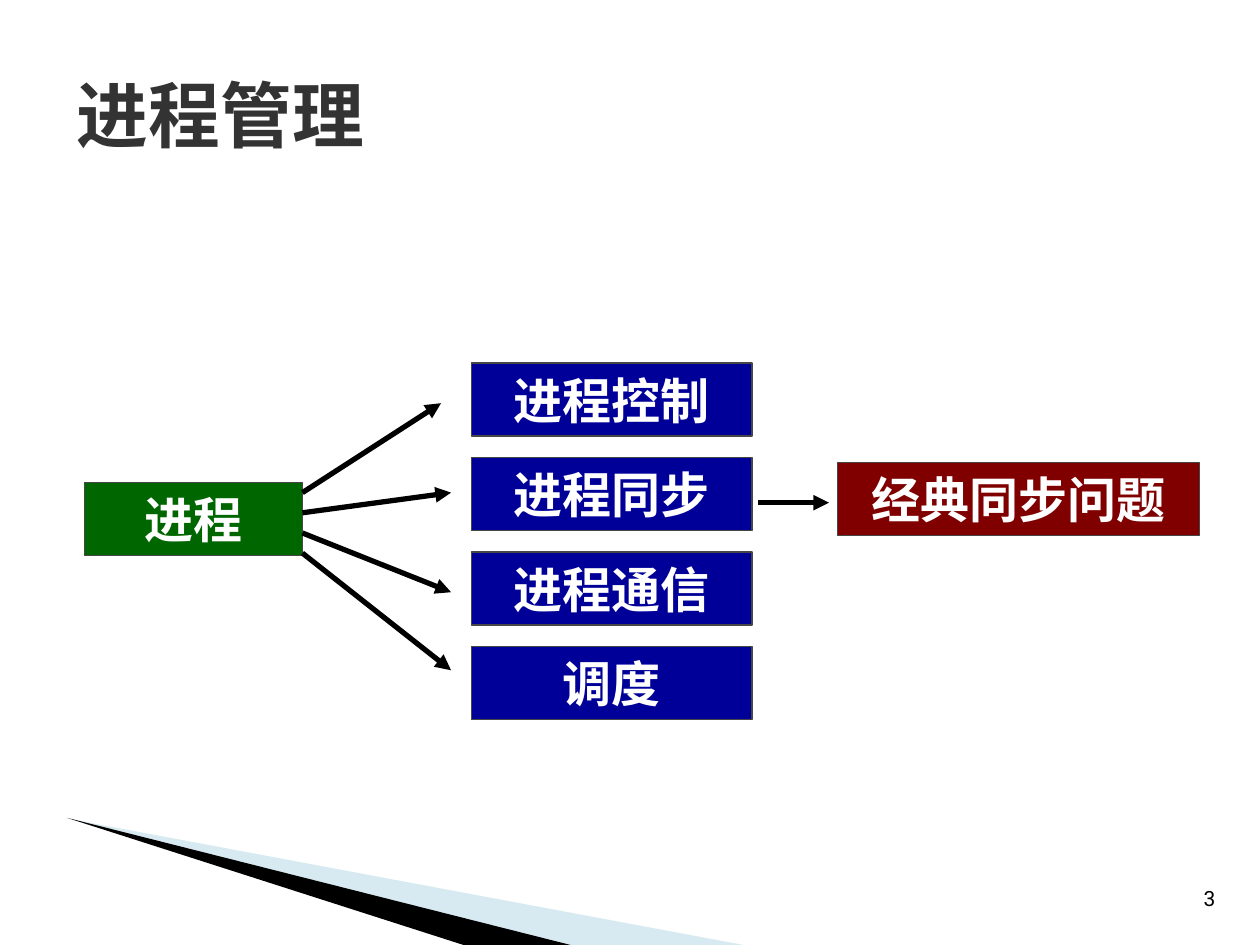
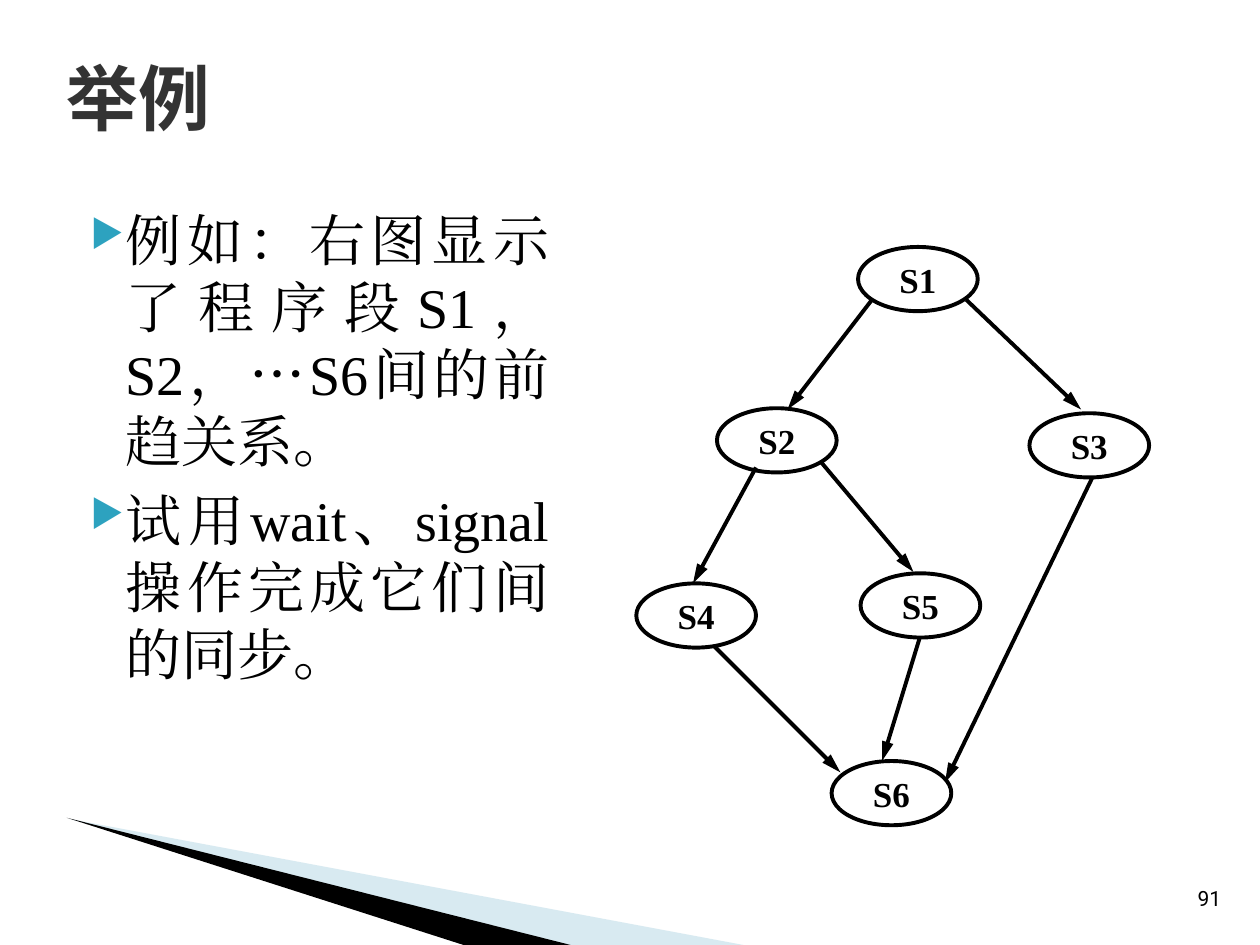
from typing import NamedTuple

from lxml import etree
from pptx import Presentation
from pptx.dml.color import RGBColor
from pptx.enum.shapes import MSO_CONNECTOR, MSO_SHAPE
from pptx.enum.text import MSO_ANCHOR, MSO_AUTO_SIZE, PP_ALIGN
from pptx.oxml.ns import qn
from pptx.util import Emu, Pt

EMU_PER_PX = 9144  # 100 px to the inch
TITLE_ONLY = 5

STRAIGHT = MSO_CONNECTOR.STRAIGHT
RECTANGLE, OVAL = MSO_SHAPE.RECTANGLE, MSO_SHAPE.OVAL
MIDDLE = MSO_ANCHOR.MIDDLE
LEFT, CENTER, JUSTIFY = PP_ALIGN.LEFT, PP_ALIGN.CENTER, PP_ALIGN.JUSTIFY

BLACK = RGBColor(0x00, 0x00, 0x00)
WHITE = RGBColor(0xFF, 0xFF, 0xFF)
TITLE_GREY = RGBColor(0x33, 0x33, 0x33)
BORDER_GREY = RGBColor(0x46, 0x46, 0x46)
PALE_BLUE = RGBColor(0x9F, 0xCB, 0xDC)
NAVY = RGBColor(0x00, 0x00, 0x99)
MAROON = RGBColor(0x80, 0x00, 0x00)
GREEN = RGBColor(0x00, 0x66, 0x00)
BULLET_TEAL = "2DA2BF"

SANS, SERIF = "Noto Sans CJK SC", "Times New Roman"
BOX_FONT, NUMBER_FONT = "Cabin", "Roboto"


class Frame(NamedTuple):
    left: int
    top: int
    width: int
    height: int


class TextStyle(NamedTuple):
    font: str
    size: int
    color: RGBColor
    bold: bool = False
    align: PP_ALIGN = CENTER


class Node(NamedTuple):
    label: str
    frame: Frame
    fill: RGBColor


class NodeStyle(NamedTuple):
    preset: MSO_SHAPE
    text: TextStyle
    border: RGBColor
    border_width: float


class Arrow(NamedTuple):
    x1: int
    y1: int
    x2: int
    y2: int


class Band(NamedTuple):
    points: list[tuple[int, int]]
    color: RGBColor
    opacity: int


TITLE_TEXT = TextStyle(SANS, 41, TITLE_GREY, True, LEFT)
NUMBER_TEXT = TextStyle(NUMBER_FONT, 12, BLACK)
BODY_TEXT = TextStyle(SERIF, 32, BLACK, align=JUSTIFY)
TOPIC = NodeStyle(RECTANGLE, TextStyle(BOX_FONT, 28, WHITE, True), BORDER_GREY, 0.75)
SEGMENT = NodeStyle(OVAL, TextStyle(SERIF, 20, BLACK, True), BLACK, 2.25)

BANDS = [
    Band([(55, 650), (590, 750), (452, 750)], PALE_BLUE, 40),
    Band([(53, 649), (453, 750), (368, 750)], BLACK, 100),
]

TOPICS = ["进程控制", "进程同步", "进程通信", "调度"]
TOPIC_ARROW_ENDS = [(350, 320), (358, 391), (358, 470), (358, 532)]

SEGMENT_PLACES = {
    "S1": (681, 196),
    "S2": (569, 324),
    "S3": (817, 328),
    "S4": (505, 463),
    "S5": (683, 455),
    "S6": (660, 604),
}
PRECEDENCE_ARROWS = [
    Arrow(692, 238, 625, 325),
    Arrow(767, 238, 858, 325),
    Arrow(600, 371, 550, 463),
    Arrow(651, 366, 725, 454),
    Arrow(567, 513, 667, 613),
    Arrow(730, 506, 700, 604),
    Arrow(867, 379, 750, 621),
]
BODY_PARAGRAPHS = [
    [("例如：右图显示了程序段S1，S2，", SERIF), ("…", SANS), ("S6间的前趋关系。", SERIF)],
    [("试用wait、signal操作完成它们间的同步。", SERIF)],
]


def px(length: int) -> Emu:
    return Emu(length * EMU_PER_PX)


def emu_frame(frame: Frame) -> list[Emu]:
    return [px(length) for length in frame]


def set_typeface(font, name: str) -> None:
    """Use one typeface for both Latin and East Asian text."""
    font.name = name
    etree.SubElement(font._element, qn("a:ea"), typeface=name)


def style_paragraph(para, style: TextStyle) -> None:
    para.alignment = style.align
    font = para.font
    font.size, font.bold = Pt(style.size), style.bold
    font.color.rgb = style.color
    set_typeface(font, style.font)


def fill_text(shape, text: str, style: TextStyle, wrap: bool = False) -> None:
    box = shape.text_frame
    box.text = text
    box.auto_size = MSO_AUTO_SIZE.NONE
    box.word_wrap = wrap
    box.vertical_anchor = MIDDLE
    style_paragraph(box.paragraphs[0], style)


def add_band(page, band: Band) -> None:
    builder = page.shapes.build_freeform(*band.points[0], scale=EMU_PER_PX)
    builder.add_line_segments(band.points[1:], close=True)
    shape = builder.convert_to_shape()
    shape.shadow.inherit = False
    shape.line.fill.background()
    shape.fill.solid()
    shape.fill.fore_color.rgb = band.color
    if band.opacity < 100:
        color = shape._element.spPr.find(qn("a:solidFill"))[0]
        etree.SubElement(color, qn("a:alpha"), val=str(band.opacity * 1000))


def add_page(deck, title: str, title_frame: Frame, number: int):
    """Add a slide with the shared bands, title and page number."""
    page = deck.slides.add_slide(deck.slide_layouts[TITLE_ONLY])
    for band in BANDS:
        add_band(page, band)
    heading = page.shapes.title
    heading.left, heading.top, heading.width, heading.height = emu_frame(title_frame)
    fill_text(heading, title, TITLE_TEXT, wrap=True)
    number_box = page.shapes.add_textbox(*emu_frame(Frame(940, 698, 40, 30)))
    fill_text(number_box, str(number), NUMBER_TEXT)
    return page


def add_node(page, node: Node, style: NodeStyle) -> None:
    shape = page.shapes.add_shape(style.preset, *emu_frame(node.frame))
    shape.shadow.inherit = False
    shape.fill.solid()
    shape.fill.fore_color.rgb = node.fill
    shape.line.color.rgb = style.border
    shape.line.width = Pt(style.border_width)
    box = shape.text_frame
    box.margin_left = box.margin_right = box.margin_top = box.margin_bottom = 0
    fill_text(shape, node.label, style.text)


def add_arrow(page, arrow: Arrow, width: float, head_length: str) -> None:
    line = page.shapes.add_connector(STRAIGHT, *[px(length) for length in arrow])
    line.line.color.rgb = BLACK
    line.line.width = Pt(width)
    properties = line._element.spPr
    etree.SubElement(properties.find(qn("a:ln")), qn("a:tailEnd"),
                     type="triangle", w="med", len=head_length)
    etree.SubElement(properties, qn("a:effectLst"))


def add_bullet(para) -> None:
    properties = para._p.get_or_add_pPr()
    properties.set("marL", str(px(40)))
    properties.set("indent", str(-px(28)))
    color = etree.SubElement(properties, qn("a:buClr"))
    etree.SubElement(color, qn("a:srgbClr"), val=BULLET_TEAL)
    etree.SubElement(properties, qn("a:buSzPct"), val="68000")
    etree.SubElement(properties, qn("a:buChar"), char="▶")


def add_body(page, frame: Frame) -> None:
    box = page.shapes.add_textbox(*emu_frame(frame)).text_frame
    box.word_wrap = True
    for index, pieces in enumerate(BODY_PARAGRAPHS):
        para = box.add_paragraph() if index else box.paragraphs[0]
        add_bullet(para)
        para.space_before = Pt(6.4 if index else 0)
        style_paragraph(para, BODY_TEXT)
        for text, typeface in pieces:
            span = para.add_run()
            span.text = text
            if typeface != BODY_TEXT.font:
                set_typeface(span.font, typeface)


def build_process_management(deck) -> None:
    page = add_page(deck, "进程管理", Frame(51, 28, 900, 125), 3)
    nodes = [Node(label, Frame(374, 288 + 75 * row, 223, 58), NAVY)
             for row, label in enumerate(TOPICS)]
    nodes.append(Node("经典同步问题", Frame(665, 367, 287, 58), MAROON))
    nodes.append(Node("进程", Frame(67, 383, 173, 58), GREEN))
    for node in nodes:
        add_node(page, node, TOPIC)
    arrows = [Arrow(240, 391 + 16 * row, *end)
              for row, end in enumerate(TOPIC_ARROW_ENDS)]
    for arrow in [*arrows, Arrow(602, 399, 658, 399)]:
        add_arrow(page, arrow, 3, "med")


def build_precedence_example(deck) -> None:
    page = add_page(deck, "举例", Frame(43, 14, 931, 125), 91)
    add_body(page, Frame(50, 158, 396, 488))
    for label, (left, top) in SEGMENT_PLACES.items():
        add_node(page, Node(label, Frame(left, top, 95, 51), WHITE), SEGMENT)
    for arrow in PRECEDENCE_ARROWS:
        add_arrow(page, arrow, 2.25, "lg")


def main() -> None:
    deck = Presentation()
    deck.slide_width, deck.slide_height = px(1000), px(750)
    build_process_management(deck)
    build_precedence_example(deck)
    deck.save("out.pptx")


if __name__ == "__main__":
    main()
